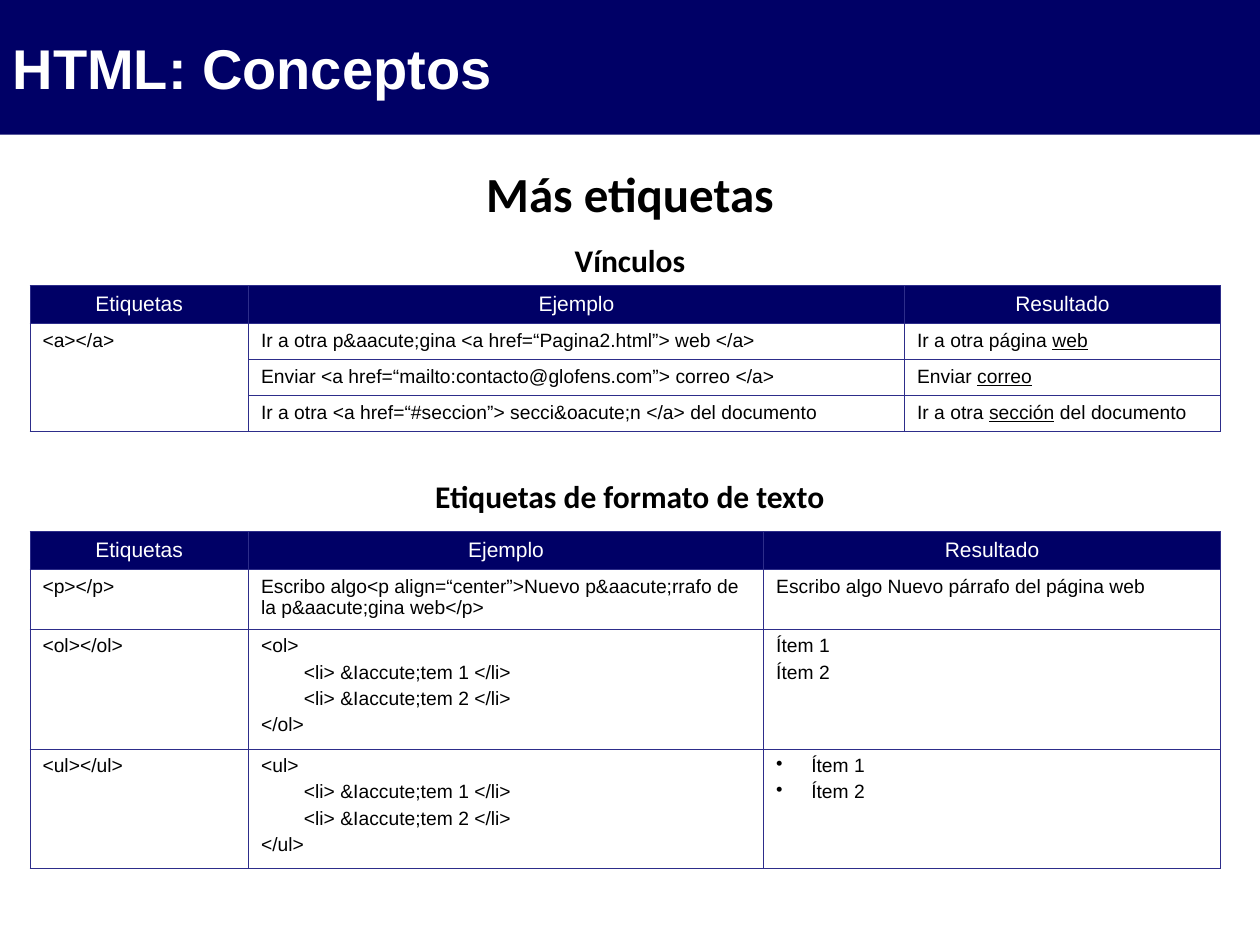
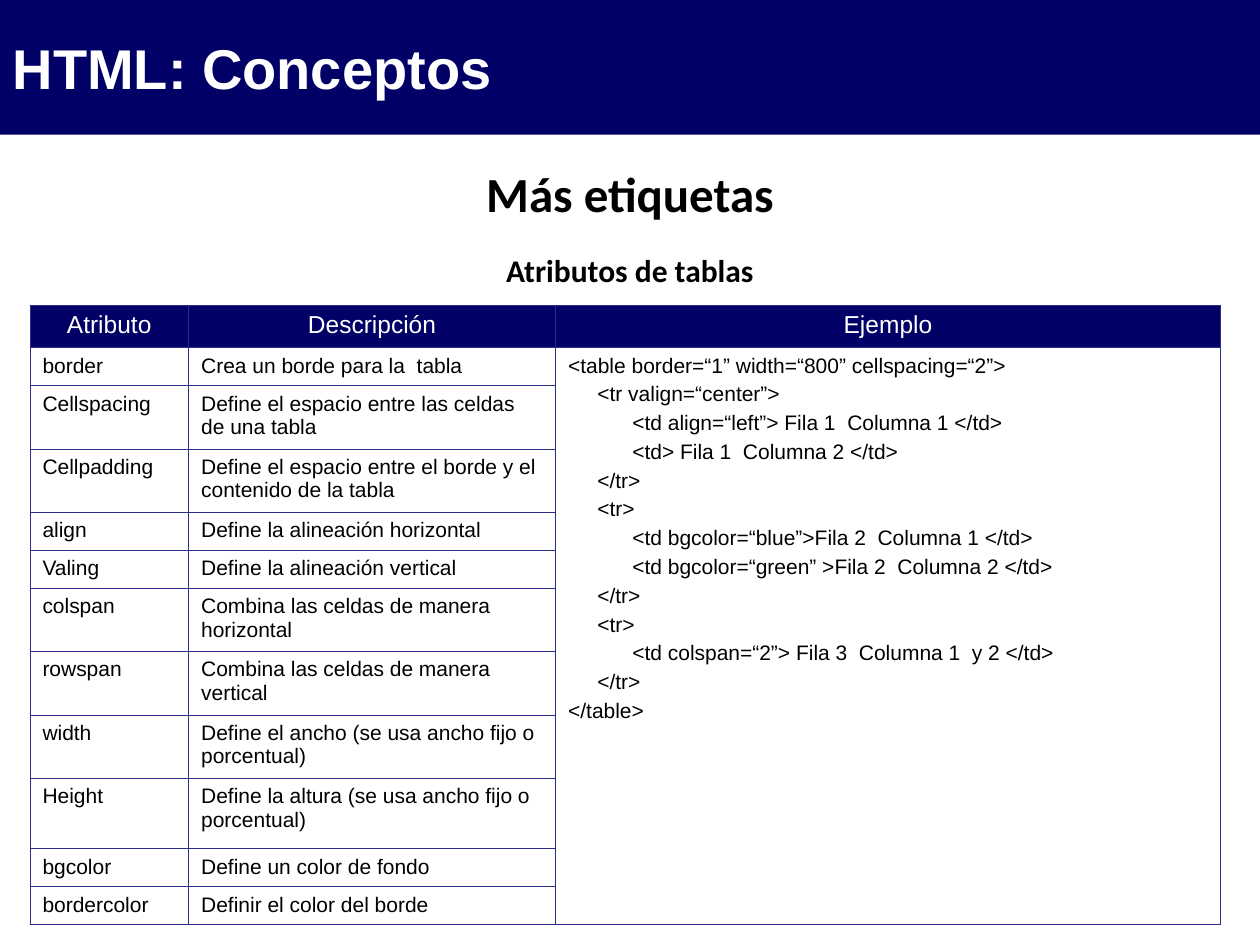
from collections import namedtuple

from lxml.etree import SubElement
from pptx import Presentation
from pptx.dml.color import RGBColor as Rgb
from pptx.enum.text import MSO_ANCHOR as Anchor, MSO_AUTO_SIZE as AutoSize, PP_ALIGN as Align
from pptx.oxml import parse_xml
from pptx.oxml.ns import nsdecls, qn
from pptx.util import Pt

COLORS = {"navy": "000066", "border": "2D2D8A", "white": "FFFFFF", "black": "000000"}
PAGE_WIDTH, PAGE_HEIGHT = 720, 540
TABLE_LEFT = 17.1
TITLE_ONLY = 5
BULLET_INDENT = 20

# A line of a cell; indent is in points
Line = namedtuple("Line", "text indent bullet", defaults=(0, False))


def color(name):
    return Rgb.from_string(COLORS[name])


def write(para, text, size, font="Arial", ink="black", bold=False, align=Align.LEFT, before=0):
    """Fill a paragraph; words between underscores are underlined."""
    para.alignment = align
    para.space_before = Pt(before)
    for index, piece in enumerate(text.split("_")):
        if piece:
            span = para.add_run()
            span.text = piece
            span.font.size = Pt(size)
            span.font.name = font
            span.font.bold = bold
            span.font.color.rgb = color(ink)
            if index % 2:
                span.font.underline = True


def indent(para, line):
    properties = para._p.get_or_add_pPr()
    properties.set("marL", str(Pt(line.indent)))
    if line.bullet:
        properties.set("indent", str(-Pt(line.indent)))
        SubElement(properties, qn("a:buChar")).set("char", "•")


def add_title_band(page, text):
    band = page.shapes.title
    band.left, band.top, band.width, band.height = 0, 0, Pt(PAGE_WIDTH), Pt(77)
    band.fill.solid()
    band.fill.fore_color.rgb = color("navy")
    frame = band.text_frame
    frame.auto_size = AutoSize.NONE
    frame.vertical_anchor = Anchor.MIDDLE
    write(frame.paragraphs[0], text, 32, ink="white", bold=True)


def add_heading(page, text, top, size=18):
    box = page.shapes.add_textbox(0, Pt(top), Pt(PAGE_WIDTH), Pt(size * 1.22 + 7.2))
    frame = box.text_frame
    frame.word_wrap = True
    frame.auto_size = AutoSize.SHAPE_TO_FIT_TEXT
    write(frame.paragraphs[0], text, size, font="Calibri", bold=True, align=Align.CENTER)


def add_borders(cell):
    properties = cell._tc.get_or_add_tcPr()
    for index, side in enumerate(("lnL", "lnR", "lnT", "lnB")):
        properties.insert(index, parse_xml(
            f'<a:{side} {nsdecls("a")} w="{Pt(0.45)}"><a:solidFill>'
            f'<a:srgbClr val="{COLORS["border"]}"/></a:solidFill></a:{side}>'))


def fill_cell(cell, content, is_header, size):
    if is_header:
        cell.fill.solid()
        cell.fill.fore_color.rgb = color("navy")
        style = dict(size=size, ink="white", align=Align.CENTER)
    else:
        cell.fill.background()
        style = dict(size=size)
    add_borders(cell)
    if content is None:
        return
    lines = [content] if isinstance(content, str) else content
    frame = cell.text_frame
    for index, line in enumerate(lines):
        para = frame.add_paragraph() if index else frame.paragraphs[0]
        line = Line(line) if isinstance(line, str) else line
        write(para, line.text, before=size / 4, **style)
        if line.indent:
            indent(para, line)


def add_grid(page, rows, top, widths, heights, header_size, body_size, merged_column=None):
    """Add a table; merged_column joins its body cells into one."""
    frame = page.shapes.add_table(len(rows), len(widths), Pt(TABLE_LEFT), Pt(top),
                                  Pt(sum(widths)), Pt(sum(heights)))
    grid = frame.table
    grid.first_row = grid.horz_banding = False
    for column, width in zip(grid.columns, widths):
        column.width = Pt(width)
    for row, height in zip(grid.rows, heights):
        row.height = Pt(height)
    for r, contents in enumerate(rows):
        for c, content in enumerate(contents):
            fill_cell(grid.cell(r, c), content, r == 0, body_size if r else header_size)
    if merged_column is not None:
        grid.cell(1, merged_column).merge(grid.cell(len(rows) - 1, merged_column))


def add_page(deck, subtitle):
    page = deck.slides.add_slide(deck.slide_layouts[TITLE_ONLY])
    add_title_band(page, "HTML: Conceptos")
    add_heading(page, subtitle, 90, size=28)
    return page


def list_example(tag):
    items = [Line(f"<li> &Iaccute;tem {number} </li>", 24.5) for number in (1, 2)]
    return [f"<{tag}>", *items, f"</{tag}>"]


def build_tags_page(deck):
    page = add_page(deck, "Más etiquetas")
    header = ("Etiquetas", "Ejemplo", "Resultado")

    # Links
    add_heading(page, "Vínculos", 134)
    links = [
        header,
        ("<a></a>", "Ir a otra p&aacute;gina <a href=“Pagina2.html”> web </a>",
         "Ir a otra página _web_"),
        (None, "Enviar <a href=“mailto:contacto@glofens.com”> correo </a>", "Enviar _correo_"),
        (None, "Ir a otra <a href=“#seccion”> secci&oacute;n </a> del documento",
         "Ir a otra _sección_ del documento"),
    ]
    add_grid(page, links, 163.3, (124.9, 374.9, 180.6), (21.6, 20.6, 20.6, 20.6), 12, 11,
             merged_column=0)

    # Text formatting
    add_heading(page, "Etiquetas de formato de texto", 269)
    items = ("Ítem 1", "Ítem 2")
    formats = [
        header,
        ("<p></p>",
         "Escribo algo<p align=“center”>Nuevo p&aacute;rrafo de la p&aacute;gina web</p>",
         "Escribo algo Nuevo párrafo del página web"),
        ("<ol></ol>", list_example("ol"), items),
        ("<ul></ul>", list_example("ul"), [Line(item, BULLET_INDENT, True) for item in items]),
    ]
    add_grid(page, formats, 303.8, (124.9, 294.4, 261.1), (21.8, 34, 68.4, 68.4), 12, 11)


def build_attributes_page(deck):
    page = add_page(deck, "Más etiquetas")
    add_heading(page, "Atributos de tablas", 139.7)

    # Code sample, indented by nesting depth
    row, cell = 16.7, 36.7
    sample = [
        "<table border=“1” width=“800” cellspacing=“2”>",
        Line("<tr valign=“center”>", row),
        Line("<td align=“left”> Fila 1  Columna 1 </td>", cell),
        Line("<td> Fila 1  Columna 2 </td>", cell),
        Line("</tr>", row),
        Line("<tr>", row),
        Line("<td bgcolor=“blue”>Fila 2  Columna 1 </td>", cell),
        Line("<td bgcolor=“green” >Fila 2  Columna 2 </td>", cell),
        Line("</tr>", row),
        Line("<tr>", row),
        Line("<td colspan=“2”> Fila 3  Columna 1  y 2 </td>", cell),
        Line("</tr>", row),
        "</table>",
    ]
    one_line, two_lines = 21.7, 36.2
    attributes = [
        ("border", "Crea un borde para la  tabla", one_line),
        ("Cellspacing", "Define el espacio entre las celdas de una tabla", two_lines),
        ("Cellpadding", "Define el espacio entre el borde y el contenido de la tabla", two_lines),
        ("align", "Define la alineación horizontal", one_line),
        ("Valing", "Define la alineación vertical", one_line),
        ("colspan", "Combina las celdas de manera horizontal", two_lines),
        ("rowspan", "Combina las celdas de manera vertical", two_lines),
        ("width", "Define el ancho (se usa ancho fijo o porcentual)", two_lines),
        ("Height", "Define la altura (se usa ancho fijo o porcentual)", 40.3),
        ("bgcolor", "Define un color de fondo", one_line),
        ("bordercolor", "Definir el color del borde", one_line),
    ]
    rows = [("Atributo", "Descripción", "Ejemplo")]
    for index, (name, description, _) in enumerate(attributes):
        rows.append((name, description, None if index else sample))
    heights = [24.2] + [height for _, _, height in attributes]
    add_grid(page, rows, 174.5, (90.7, 209.7, 380), heights, 14, 12, merged_column=2)


def main():
    deck = Presentation()
    deck.slide_width, deck.slide_height = Pt(PAGE_WIDTH), Pt(PAGE_HEIGHT)
    build_tags_page(deck)
    build_attributes_page(deck)
    deck.save("out.pptx")


if __name__ == "__main__":
    main()
